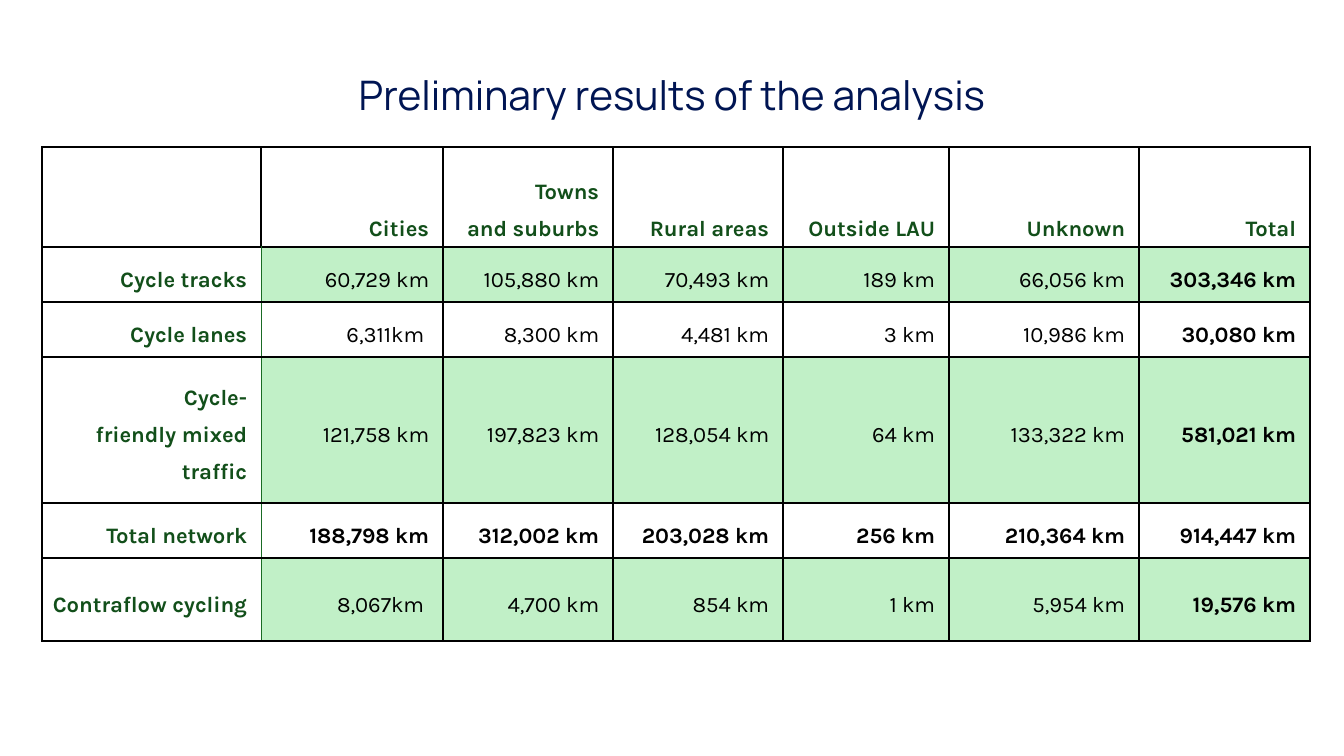
import pptx
import pptx.dml.color
import pptx.enum.text
import pptx.oxml
import pptx.oxml.ns
import pptx.util

TITLE = "Preliminary results of the analysis"
# An underscore stands for a no-break space.
ROWS = [
    ["", "Cities", "Towns and_suburbs", "Rural areas", "Outside_LAU", "Unknown", "Total"],
    ["Cycle tracks", "60,729 km", "105,880 km", "70,493 km", "189 km", "66,056 km", "303,346 km"],
    ["Cycle lanes", "6,311km", "8,300 km", "4,481 km", "3 km", "10,986 km", "30,080 km"],
    ["Cycle-friendly_mixed traffic", "121,758 km", "197,823 km", "128,054 km", "64 km",
     "133,322 km", "581,021 km"],
    ["Total network", "188,798 km", "312,002 km", "203,028 km", "256 km", "210,364 km",
     "914,447 km"],
    ["Contraflow_cycling", "8,067km", "4,700 km", "854 km", "1 km", "5,954 km", "19,576 km"],
]
TOTAL_ROW = 4
TOTAL_COLUMN = 6
SHADED_ROWS = {1, 3, 5}
COLUMN_WIDTHS = [219, 182, 170, 170, 166, 190, 171]
ROW_HEIGHTS = [100, 55, 55, 146, 55, 83]
COLORS = {"title": "001553", "heading": "124F1A", "value": "000000", "white": "FFFFFF",
          "shade": "C1F0C7", "border": "000000", "divider": "196B24"}
PX = 7495  # EMU per px


def rgb(name):
    return pptx.dml.color.RGBColor.from_string(COLORS[name])


def set_font(paragraph, family, size, color, bold=False):
    paragraph.font.name = family
    paragraph.font.size = pptx.util.Pt(size)
    paragraph.font.bold = bold
    paragraph.font.color.rgb = rgb(color)


def set_borders(cell, row, column):
    """Rule all four sides; a thin green line divides row headings from values."""
    properties = cell._tc.get_or_add_tcPr()
    divider_side = {0: "R", 1: "L"}.get(column) if row else None
    for position, side in enumerate("LRTB"):
        color, width = ("divider", 0.5) if side == divider_side else ("border", 1)
        properties.insert(position, pptx.oxml.parse_xml(
            f'<a:ln{side} {pptx.oxml.ns.nsdecls("a")} w="{pptx.util.Pt(width)}">'
            f'<a:solidFill><a:srgbClr val="{COLORS[color]}"/></a:solidFill></a:ln{side}>'))


def fill_cell(cell, text, row, column):
    heading = row == 0 or column == 0
    shaded = row in SHADED_ROWS and column > 0
    cell.fill.solid()
    cell.fill.fore_color.rgb = rgb("shade" if shaded else "white")
    set_borders(cell, row, column)
    anchors = pptx.enum.text.MSO_ANCHOR
    cell.vertical_anchor = anchors.MIDDLE if row else anchors.BOTTOM
    cell.margin_left = 8 * PX
    cell.margin_right = (19 if text[-3:-2].isdigit() else 14) * PX
    cell.margin_top = cell.margin_bottom = 5 * PX
    cell.text = text.replace("_", chr(160))
    paragraph = cell.text_frame.paragraphs[0]
    paragraph.alignment = pptx.enum.text.PP_ALIGN.RIGHT
    paragraph.line_spacing = pptx.util.Pt(21.8)
    set_font(paragraph, "Karla", 13, "heading" if heading else "value",
             heading or row == TOTAL_ROW or column == TOTAL_COLUMN)


def add_title(slide):
    frame = slide.shapes.add_textbox(67 * PX, 31 * PX, 1210 * PX, 127 * PX).text_frame
    frame.word_wrap = True
    frame.margin_left = frame.margin_right = frame.margin_top = frame.margin_bottom = 0
    frame.vertical_anchor = pptx.enum.text.MSO_ANCHOR.MIDDLE
    paragraph = frame.paragraphs[0]
    paragraph.text = TITLE
    paragraph.alignment = pptx.enum.text.PP_ALIGN.CENTER
    set_font(paragraph, "Manrope", 24, "title")


def add_results(slide):
    table = slide.shapes.add_table(
        len(ROWS), len(COLUMN_WIDTHS), 42 * PX, 147 * PX,
        sum(COLUMN_WIDTHS) * PX, sum(ROW_HEIGHTS) * PX).table
    table.horz_banding = False
    table.first_row = False
    for column, width in zip(table.columns, COLUMN_WIDTHS):
        column.width = width * PX
    for row, height in zip(table.rows, ROW_HEIGHTS):
        row.height = height * PX
    for row, texts in enumerate(ROWS):
        for column, text in enumerate(texts):
            fill_cell(table.cell(row, column), text, row, column)


def main():
    presentation = pptx.Presentation()
    presentation.slide_width = 1344 * PX
    presentation.slide_height = 756 * PX
    slide = presentation.slides.add_slide(presentation.slide_layouts[6])
    add_title(slide)
    add_results(slide)
    presentation.save("out.pptx")


if __name__ == "__main__":
    main()
